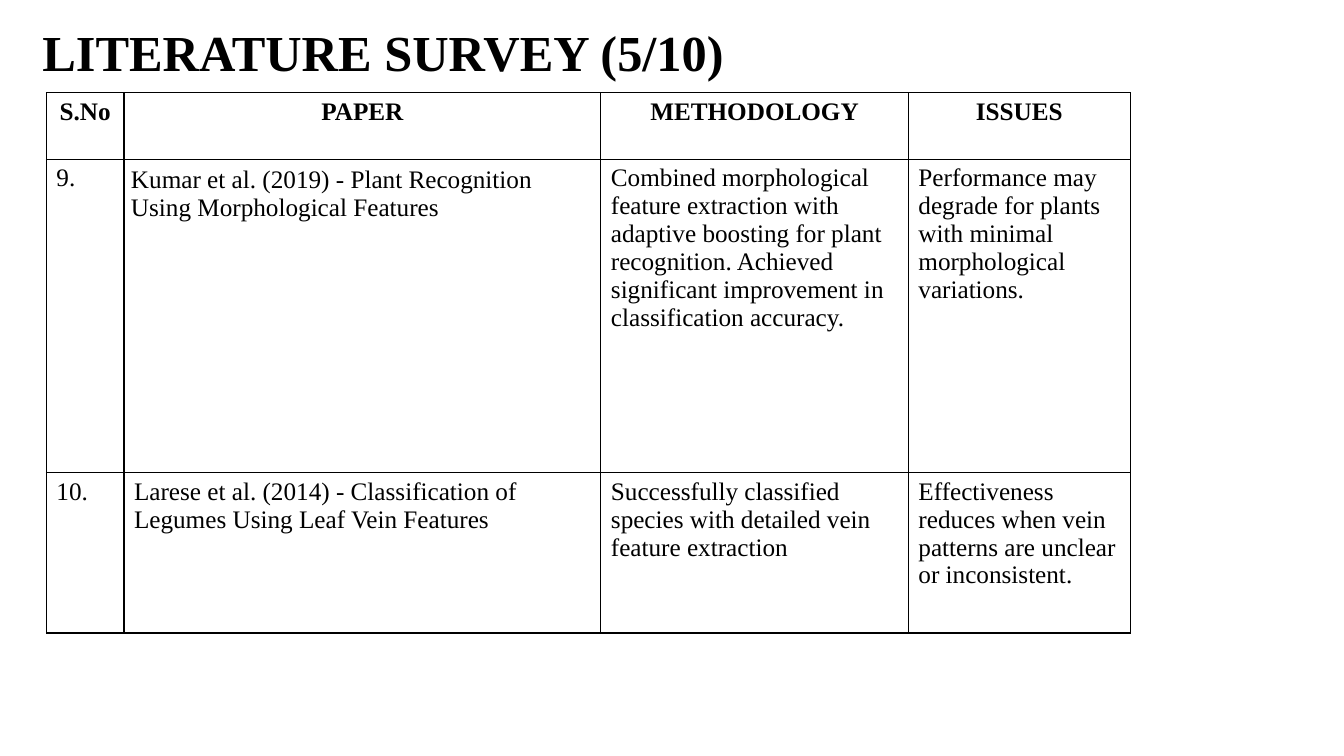
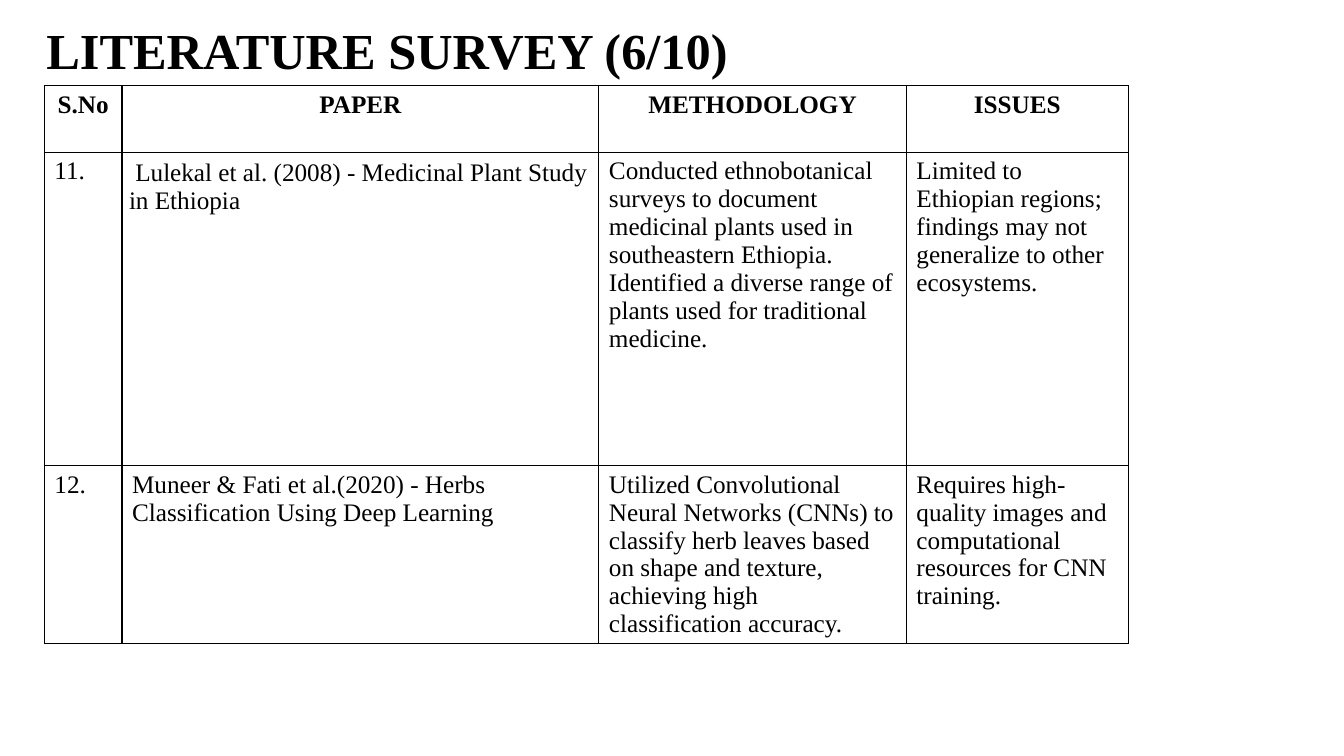
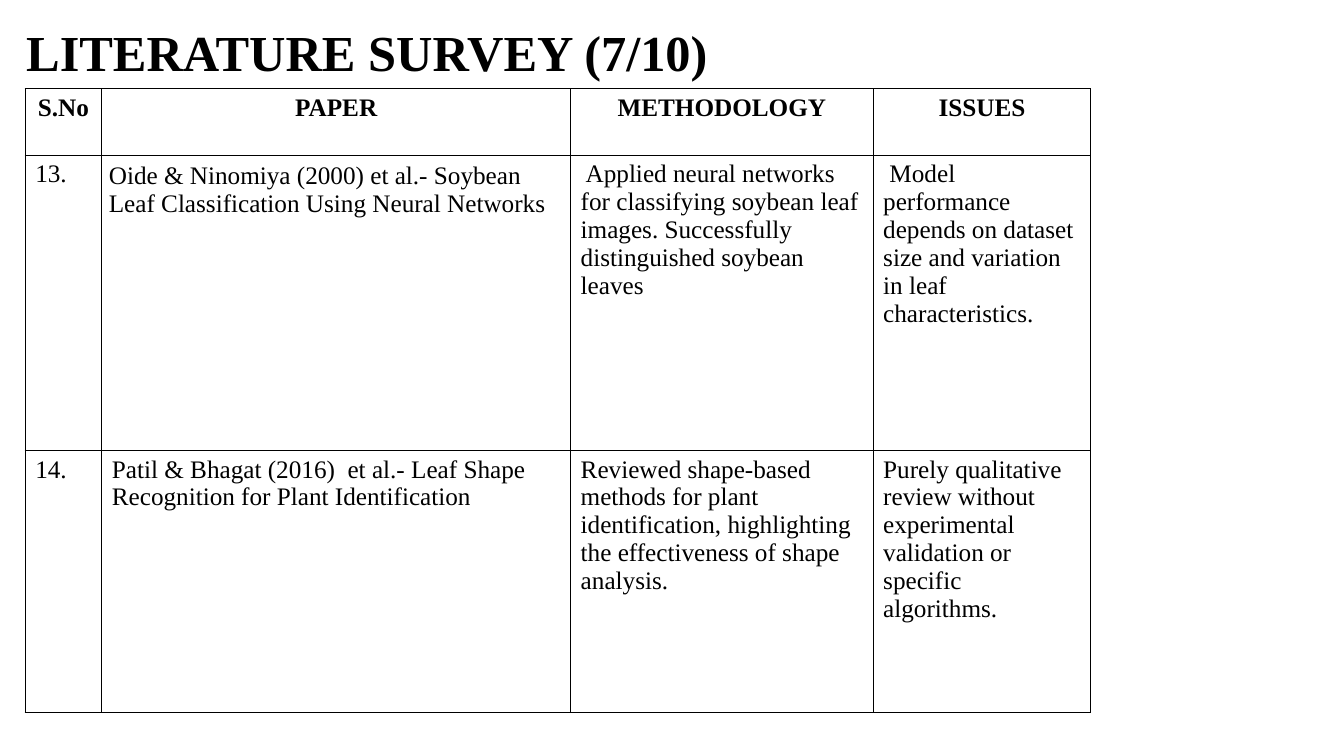
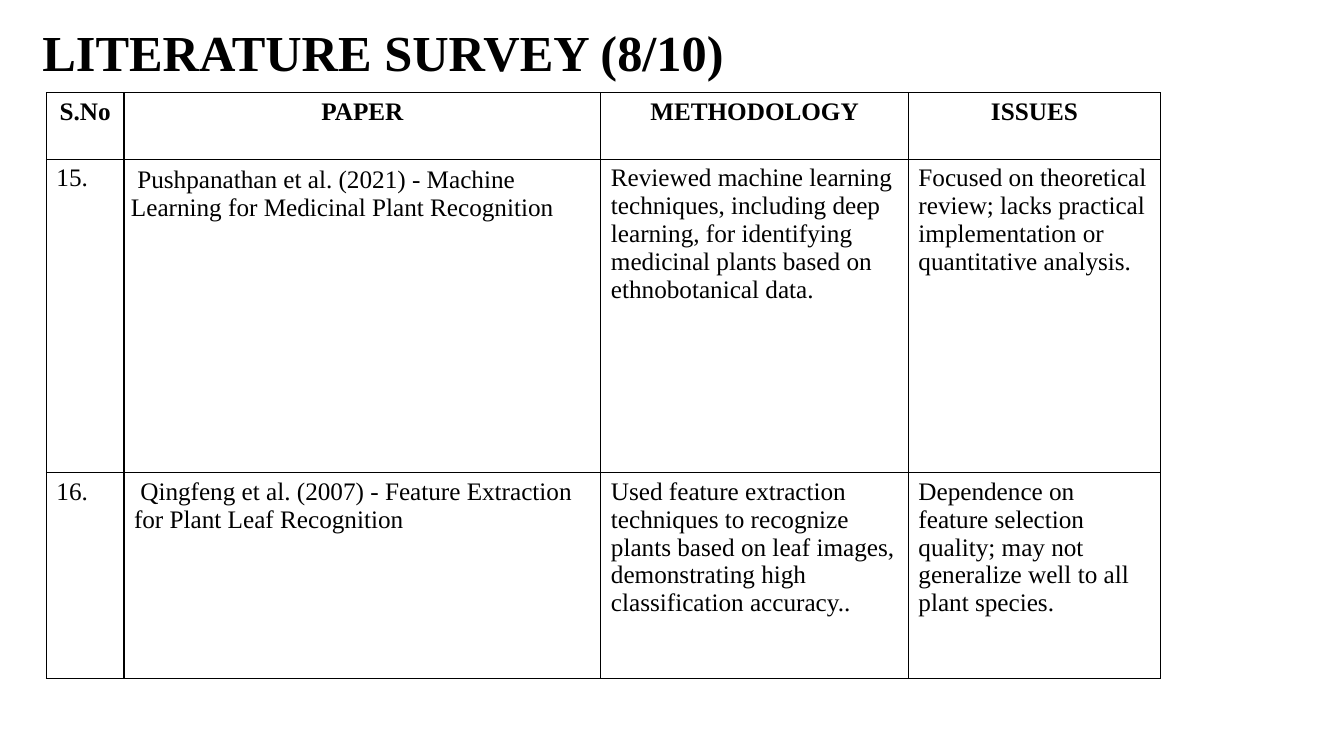
from lxml.etree import SubElement
from pptx import Presentation
from pptx.dml.color import RGBColor
from pptx.enum.text import MSO_ANCHOR, MSO_AUTO_SIZE, PP_ALIGN
from pptx.oxml.ns import qn
from pptx.util import Pt

PX = 9144
COLORS = {"ink": "000000", "paper": "FFFFFF"}
FONT = "Times New Roman"
HEADINGS = ["S.No", "PAPER", "METHODOLOGY", "ISSUES"]
BORDER_SIDES = ["a:lnL", "a:lnR", "a:lnT", "a:lnB"]
BORDER_WIDTH = Pt(0.96)

TITLE_SIZE = {"width": 1150 * PX, "height": 135 * PX}
TITLE_FRAME = {
    "word_wrap": True,
    "auto_size": MSO_AUTO_SIZE.NONE,
    "vertical_anchor": MSO_ANCHOR.MIDDLE,
}
TITLE_PARAGRAPH = {"alignment": PP_ALIGN.LEFT, "line_spacing": 0.9}
TITLE_FONT = {"name": FONT, "size": Pt(36), "bold": True}
HEADING_FONT = {"name": FONT, "size": Pt(18), "bold": True}
BODY_FONT = {**HEADING_FONT, "bold": False}
TABLE_FLAGS = {"first_row": False, "horz_banding": False}
TIGHT_MARGINS = {
    f"margin_{side}": 7 * PX for side in ("left", "top", "right", "bottom")
}

SURVEY_PAGES = [
    {
        "number": 5,
        "title_at": (32, -13),
        "table_at": (46, 92),
        "columns": [77, 473, 305, 220],
        "rows": [66, 311, 159],
        "papers": [
            ["9.",
             "Kumar et al. (2019) - Plant Recognition Using Morphological Features",
             "Combined morphological feature extraction with adaptive boosting for plant "
             "recognition. Achieved significant improvement in classification accuracy.",
             "Performance may degrade for plants with minimal morphological variations."],
            ["10.",
             "Larese et al. (2014) - Classification of Legumes Using Leaf Vein Features",
             "Successfully classified species with detailed vein feature extraction",
             "Effectiveness reduces when vein patterns are unclear or inconsistent."],
        ],
    },
    {
        "number": 6,
        "title_at": (36, -15),
        "table_at": (44, 85),
        "columns": [77, 473, 305, 220],
        "rows": [66, 311, 176],
        "papers": [
            ["11.",
             " Lulekal et al. (2008) - Medicinal Plant Study in Ethiopia",
             "Conducted ethnobotanical surveys to document medicinal plants used in "
             "southeastern Ethiopia. Identified a diverse range of plants used for "
             "traditional medicine.",
             "Limited to Ethiopian regions; findings may not generalize to other ecosystems."],
            ["12.",
             "Muneer & Fati et al.(2020) - Herbs Classification Using Deep Learning",
             "Utilized Convolutional Neural Networks (CNNs) to classify herb leaves based "
             "on shape and texture, achieving high classification accuracy.",
             "Requires high-quality images and computational resources for CNN training."],
        ],
    },
    {
        "number": 7,
        "title_at": (16, -13),
        "table_at": (25, 88),
        "columns": [76, 465, 300, 216],
        "rows": [66, 293, 260],
        "papers": [
            ["13.",
             "Oide & Ninomiya (2000) et al.- Soybean Leaf Classification Using Neural Networks",
             " Applied neural networks for classifying soybean leaf images. Successfully "
             "distinguished soybean leaves",
             " Model performance depends on dataset size and variation in leaf "
             "characteristics."],
            ["14.",
             "Patil & Bhagat (2016)  et al.- Leaf Shape Recognition for Plant Identification",
             "Reviewed shape-based methods for plant identification, highlighting the "
             "effectiveness of shape analysis.",
             "Purely qualitative review without experimental validation or specific "
             "algorithms."],
        ],
    },
    {
        "number": 8,
        "title_at": (32, -13),
        "table_at": (46, 92),
        "columns": [77, 473, 305, 250],
        "rows": [66, 311, 204],
        "papers": [
            ["15.",
             " Pushpanathan et al. (2021) - Machine Learning for Medicinal Plant Recognition",
             "Reviewed machine learning techniques, including deep learning, for "
             "identifying medicinal plants based on ethnobotanical data.",
             "Focused on theoretical review; lacks practical implementation or "
             "quantitative analysis."],
            ["16.",
             " Qingfeng et al. (2007) - Feature Extraction for Plant Leaf Recognition",
             "Used feature extraction techniques to recognize plants based on leaf images, "
             "demonstrating high classification accuracy..",
             "Dependence on feature selection quality; may not generalize well to all "
             "plant species."],
        ],
    },
]


def apply_format(target, values):
    for attribute, value in values.items():
        setattr(target, attribute, value)


def write_text(paragraph, text, font_values):
    run = paragraph.add_run()
    run.text = text
    apply_format(run.font, font_values)
    run.font.color.rgb = RGBColor.from_string(COLORS["ink"])


deck = Presentation()
apply_format(deck, {"slide_width": 1333 * PX, "slide_height": 750 * PX})
title_only = deck.slide_layouts[5]

for page in SURVEY_PAGES:
    slide = deck.slides.add_slide(title_only)

    heading = slide.shapes.title
    left, top = page["title_at"]
    apply_format(heading, {"left": left * PX, "top": top * PX, **TITLE_SIZE})
    apply_format(heading.text_frame, TITLE_FRAME)
    heading_line = heading.text_frame.paragraphs[0]
    apply_format(heading_line, TITLE_PARAGRAPH)
    write_text(heading_line, f"LITERATURE SURVEY ({page['number']}/10)", TITLE_FONT)

    left, top = page["table_at"]
    columns, rows = page["columns"], page["rows"]
    survey = slide.shapes.add_table(
        len(rows), len(columns),
        left * PX, top * PX, sum(columns) * PX, sum(rows) * PX,
    ).table
    apply_format(survey, TABLE_FLAGS)
    for column, width in zip(survey.columns, columns):
        column.width = width * PX
    for row, height in zip(survey.rows, rows):
        row.height = height * PX

    for row_index, entries in enumerate([HEADINGS] + page["papers"]):
        for column_index, entry in enumerate(entries):
            cell = survey.cell(row_index, column_index)
            properties = cell._tc.get_or_add_tcPr()
            for side in BORDER_SIDES:
                border = SubElement(properties, qn(side), w=str(BORDER_WIDTH))
                ink = SubElement(border, qn("a:solidFill"))
                SubElement(ink, qn("a:srgbClr"), val=COLORS["ink"])

            paragraph = cell.text_frame.paragraphs[0]
            if row_index == 0:
                cell.fill.solid()
                cell.fill.fore_color.rgb = RGBColor.from_string(COLORS["paper"])
                paragraph.alignment = PP_ALIGN.CENTER
                write_text(paragraph, entry, HEADING_FONT)
            else:
                cell.fill.background()
                write_text(paragraph, entry, BODY_FONT)

    apply_format(survey.cell(1, 1), TIGHT_MARGINS)

deck.save("out.pptx")
